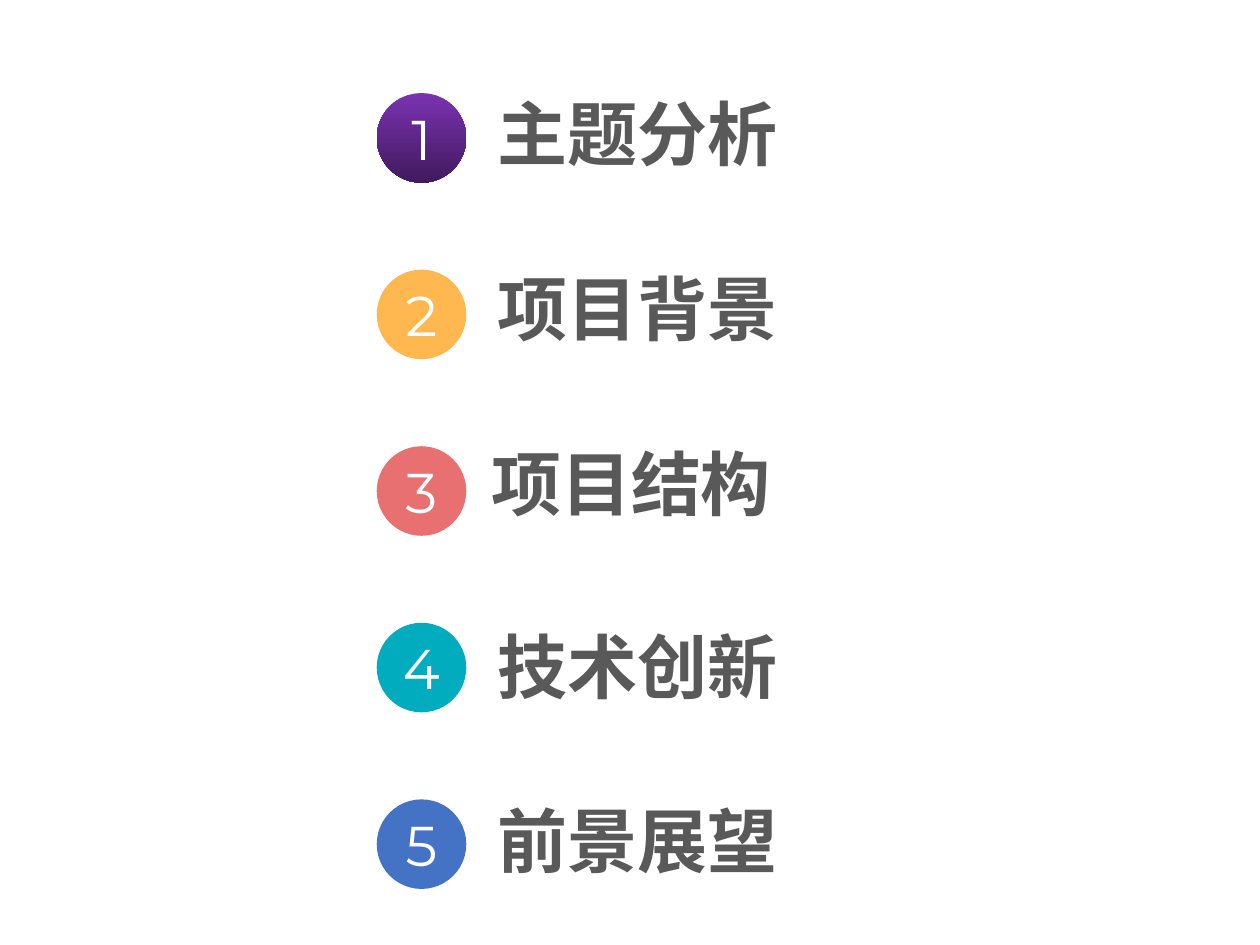
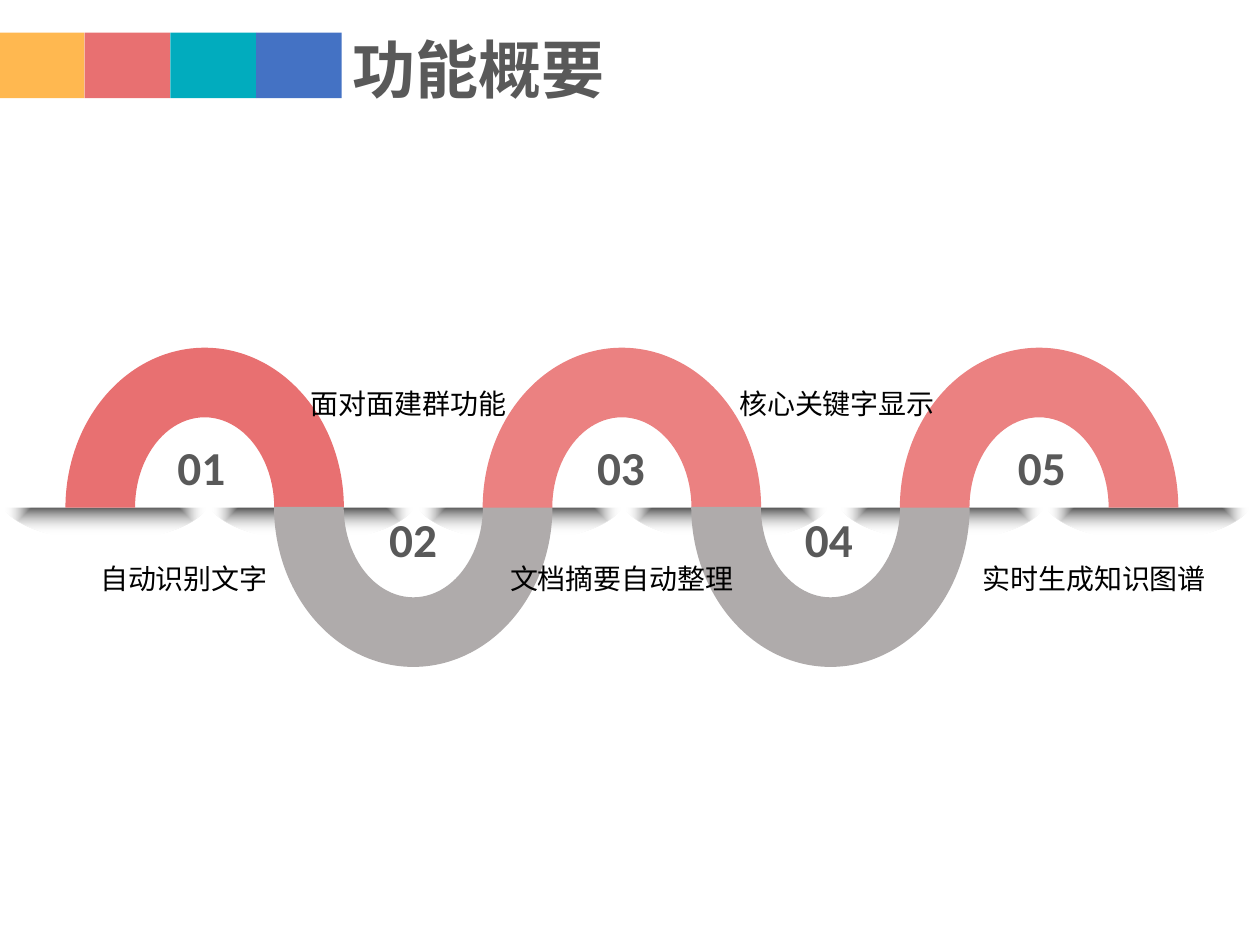
from pptx import Presentation
from pptx.dml.color import RGBColor
from pptx.enum import shapes, text
from pptx.oxml import ns, parse_xml
from pptx.util import Pt

GOLD = RGBColor(0xFF, 0xB8, 0x50)
CORAL = RGBColor(0xE8, 0x70, 0x71)
PINK = RGBColor(0xEB, 0x81, 0x81)
TEAL = RGBColor(0x01, 0xAC, 0xBE)
BLUE = RGBColor(0x44, 0x72, 0xC4)
VIOLET = RGBColor(0x7B, 0x32, 0xB2)
PLUM = RGBColor(0x40, 0x1A, 0x5D)
GRAY = RGBColor(0x59, 0x59, 0x59)
SILVER = RGBColor(0xAF, 0xAB, 0xAB)
WHITE = RGBColor(0xFF, 0xFF, 0xFF)
BLACK = RGBColor(0, 0, 0)
HAN = "Noto Sans CJK SC"
FORM = shapes.MSO_SHAPE
ALIGN = text.PP_ALIGN

TOPICS = [("主题分析", VIOLET, 277.2, -5), ("项目背景", GOLD, 277.2, -6),
          ("项目结构", CORAL, 273.6, -7), ("技术创新", TEAL, 277.2, -3),
          ("前景展望", BLUE, 277.2, -4.5)]
STEPS = [("自动识别文字", 39.6, 131, CORAL, 94.3),
         ("面对面建群功能", 170.6, 150, SILVER, 215.3),
         ("文档摘要自动整理", 284.4, 168.5, PINK, 334.1),
         ("核心关键字显示", 415.4, 150, SILVER, 452.9),
         ("实时生成知识图谱", 554.4, 168.5, PINK, 574.6)]


def write(frame, words, size=16, font=HAN, color=BLACK, bold=False,
          align=ALIGN.LEFT, wrap=True):
    """Put one formatted line of text in a frame."""
    frame.word_wrap = wrap
    par = frame.paragraphs[0]
    par.alignment = align
    run = par.add_run()
    run.text = words
    face = run.font
    face.size, face.bold, face.name = Pt(size), bold, font
    face.color.rgb = color
    east = parse_xml(f'<a:ea {ns.nsdecls("a")} typeface="{font}"/>')
    run._r.get_or_add_rPr().append(east)


def label(slide, box, words, **style):
    """Add a text box that grows with its text."""
    frame = slide.shapes.add_textbox(*map(Pt, box)).text_frame
    write(frame, words, **style)
    frame.auto_size = text.MSO_AUTO_SIZE.SHAPE_TO_FIT_TEXT


def draw(slide, form, box, color):
    """Add a plain filled shape without line or shadow."""
    shape = slide.shapes.add_shape(form, *map(Pt, box))
    shape.shadow.inherit = False
    shape.line.fill.background()
    shape.fill.solid()
    shape.fill.fore_color.rgb = color
    return shape


def topic(slide, left, top, num, words, color, start, shift):
    """Place a numbered disc and its topic."""
    disc = draw(slide, FORM.OVAL, (left, top, 51.2, 51.2), color)
    if color == VIOLET:
        disc.fill.gradient()
        disc.fill.gradient_angle = 270
        for stop, tone in zip(disc.fill.gradient_stops, (VIOLET, PLUM)):
            stop.color.rgb = tone
    disc.text_frame.vertical_anchor = text.MSO_ANCHOR.MIDDLE
    write(disc.text_frame, str(num), size=32, font="Montserrat",
          color=WHITE, align=ALIGN.CENTER)
    label(slide, (start, top + shift, 174.4, 55.4), words, size=40,
          color=GRAY, bold=True, wrap=False)


def agenda(slide):
    """Fill the agenda slide."""
    for row, item in enumerate(TOPICS):
        topic(slide, 215.3, 53.2 + 100.9 * row, row + 1, *item)


def header(slide, words, left, top):
    """Place the colour band and the title."""
    for col, color in enumerate((GOLD, CORAL, TEAL, BLUE)):
        draw(slide, FORM.RECTANGLE, (left + 49 * col, top, 49, 37.4), color)
    label(slide, (left + 195.1, top - 5, 158.4, 51), words, size=36,
          color=GRAY, bold=True, wrap=False)


def shade(slide, left, base, dark):
    """Place a soft shadow below the base line."""
    glow = draw(slide, FORM.OVAL, (left, base - 33.8, 121.7, 52.6), WHITE)
    grad = parse_xml(
        f'<a:gradFill {ns.nsdecls("a")} rotWithShape="1"><a:gsLst>'
        f'<a:gs pos="{dark}000"><a:srgbClr val="0D0D0D"/></a:gs>'
        '<a:gs pos="86000"><a:srgbClr val="FFFFFF"><a:alpha val="0"/>'
        '</a:srgbClr></a:gs></a:gsLst><a:path path="shape">'
        '<a:fillToRect l="50000" t="50000" r="50000" b="50000"/>'
        '</a:path></a:gradFill>')
    props = glow._element.spPr
    props.replace(props.find(ns.qn("a:solidFill")), grad)
    draw(slide, FORM.RECTANGLE, (left, base - 61.9, 121.7, 61.9), WHITE)


def wave(slide, left, base):
    """Place the shadows, arches, numbers and labels of the wave."""
    for start in (-0.7, 236.2, 477.4):
        shade(slide, start, base, 15)
        shade(slide, start + 118, base, 17)
    for pos, (words, start, width, color, spot) in enumerate(STEPS):
        low = pos % 2
        arch = draw(slide, FORM.BLOCK_ARC,
                    (left + 119.2 * pos, base - 91.4 - 0.5 * low, 159.1, 182.9),
                    color)
        arch.rotation = 180 * low
        label(slide, (spot, base - (2 if low else 43.2), 51.8, 39.6),
              f"{pos + 1:02}", size=27, font="Calibri", color=GRAY, bold=True)
    for pos, (words, start, width, color, spot) in enumerate(STEPS):
        label(slide, (start, base + (-72.7 if pos % 2 else 27.4), width, 26.6),
              words, align=ALIGN.LEFT if pos else ALIGN.CENTER)


def main():
    """Build and save the slides."""
    deck = Presentation()
    deck.slide_width, deck.slide_height = Pt(720), Pt(540)
    blank = deck.slide_layouts[6]
    agenda(deck.slides.add_slide(blank))
    slide = deck.slides.add_slide(blank)
    wave(slide, 37.4, 290.1)
    header(slide, "功能概要", -0.7, 18.7)
    deck.save("out.pptx")


if __name__ == "__main__":
    main()
